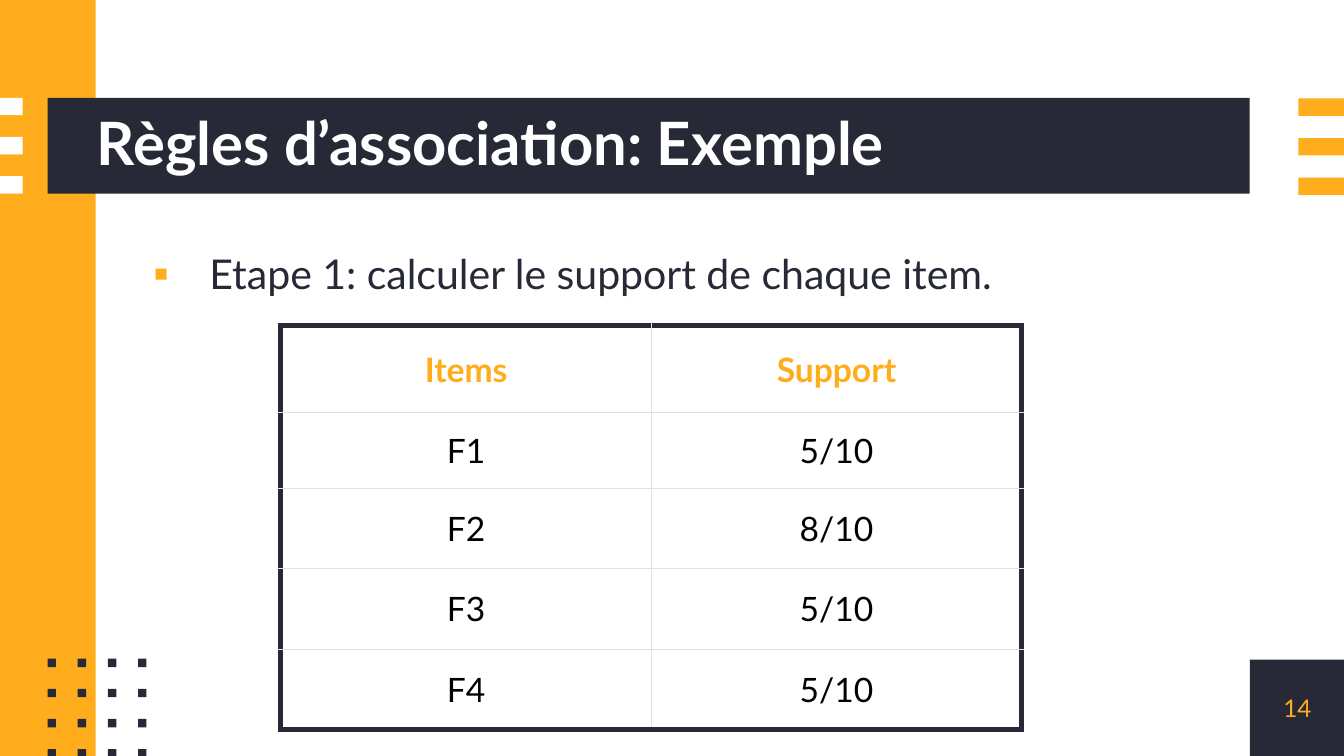
"""Build the slide on association rules: support of each item."""
from lxml.etree import SubElement
from pptx import Presentation
from pptx.dml.color import RGBColor
from pptx.enum.shapes import MSO_SHAPE
from pptx.enum.text import MSO_ANCHOR, PP_ALIGN
from pptx.oxml.ns import qn
from pptx.util import Cm, Pt

DARK, ORANGE, WHITE, BLACK, GREY = "272A36", "FFAD1D", "FFFFFF", "000000", "E0E0E7"

presentation = Presentation()
presentation.slide_width, presentation.slide_height = Cm(25.4), Cm(14.29)
slide = presentation.slides.add_slide(presentation.slide_layouts[6])


def add_block(left, top, width, height, color):
    block = slide.shapes.add_shape(
        MSO_SHAPE.RECTANGLE, Cm(left), Cm(top), Cm(width), Cm(height))
    block.shadow.inherit = False
    block.fill.solid()
    block.fill.fore_color.rgb = RGBColor.from_string(color)
    block.line.fill.background()


def write(frame, text, size, color, bold=False, align=PP_ALIGN.LEFT):
    paragraph = frame.paragraphs[0]
    paragraph.alignment = align
    run = paragraph.add_run()
    run.text = text
    run.font.name = "Lato"
    run.font.size = Pt(size)
    run.font.bold = bold
    run.font.color.rgb = RGBColor.from_string(color)
    return paragraph


add_block(23.62, 12.47, 1.8, 1.82, DARK)
add_block(0, 0, 1.81, 14.29, ORANGE)
add_block(0.9, 1.85, 22.72, 1.81, DARK)
for stripe in range(3):
    add_block(0, 1.85 + 0.74 * stripe, 0.43, 0.33, WHITE)
    add_block(24.54, 1.86 + 0.75 * stripe, 0.86, 0.33, ORANGE)
for row in range(4):
    for column in range(4):
        add_block(0.9 + 0.57 * column, 12.45 + 0.57 * row, 0.16, 0.16, DARK)

frames = []
for left, top, width, height, anchor in (
    (1.83, 1.85, 21.79, 1.81, MSO_ANCHOR.MIDDLE),
    (2.69, 4.55, 20.19, 1.4, MSO_ANCHOR.TOP),
    (23.62, 12.47, 1.8, 1.81, MSO_ANCHOR.MIDDLE),
):
    frame = slide.shapes.add_textbox(Cm(left), Cm(top), Cm(width), Cm(height)).text_frame
    frame.word_wrap = True
    frame.vertical_anchor = anchor
    frame.margin_left = frame.margin_right = frame.margin_top = frame.margin_bottom = 0
    frames.append(frame)
title, step, page_number = frames

write(title, "Règles d’association: Exemple", 32, WHITE, bold=True).line_spacing = 0.9
write(page_number, "14", 13, ORANGE, align=PP_ALIGN.CENTER)
step_line = write(step, "Etape 1: calculer le support de chaque item.", 22, DARK)
step_line.line_spacing = 1.15
step_properties = step_line._p.get_or_add_pPr()
step_properties.set("marL", str(Cm(1.27)))
step_properties.set("indent", str(Cm(-1.07)))
bullet_color = SubElement(step_properties, qn("a:buClr"))
SubElement(bullet_color, qn("a:srgbClr"), val=ORANGE)
SubElement(step_properties, qn("a:buFont"), typeface="Lato")
SubElement(step_properties, qn("a:buChar"), char="▪")

supports = [("Items", "Support"), ("F1", "5/10"), ("F2", "8/10"), ("F3", "5/10"), ("F4", "5/10")]
row_heights = [1.65, 1.43, 1.52, 1.52, 1.52]
last_row = len(supports) - 1
table = slide.shapes.add_table(
    len(supports), 2, Cm(5.31), Cm(6.15), Cm(14), Cm(sum(row_heights))).table
table.horz_banding = False
for column in table.columns:
    column.width = Cm(7)
for row, (values, height) in enumerate(zip(supports, row_heights)):
    table.rows[row].height = Cm(height)
    for column, value in enumerate(values):
        cell = table.cell(row, column)
        cell.vertical_anchor = MSO_ANCHOR.MIDDLE
        cell.margin_left = cell.margin_right = Cm(0.25)
        cell.margin_top = cell.margin_bottom = Cm(0.18)
        is_header = row == 0
        write(cell.text_frame, value, 18, ORANGE if is_header else BLACK,
              bold=is_header, align=PP_ALIGN.CENTER)
        outer_sides = {"L": column == 0, "R": column == 1, "T": is_header, "B": row == last_row}
        for side, is_outer in outer_sides.items():
            border = SubElement(cell._tc.get_or_add_tcPr(), qn(f"a:ln{side}"),
                                w=str(Pt(3 if is_outer else 0.75)))
            border_fill = SubElement(border, qn("a:solidFill"))
            SubElement(border_fill, qn("a:srgbClr"), val=DARK if is_outer else GREY)
        cell.fill.background()

presentation.save("out.pptx")
